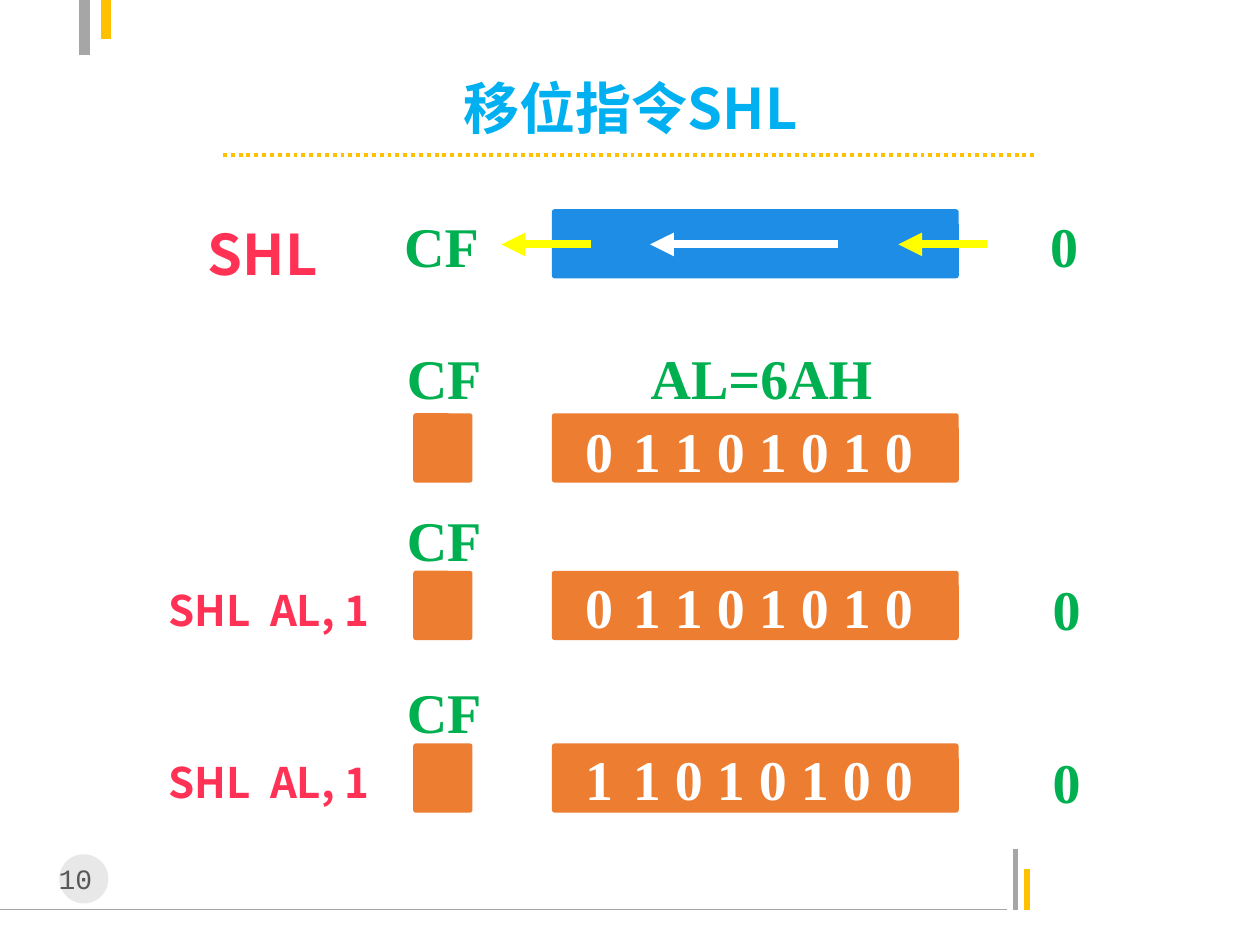
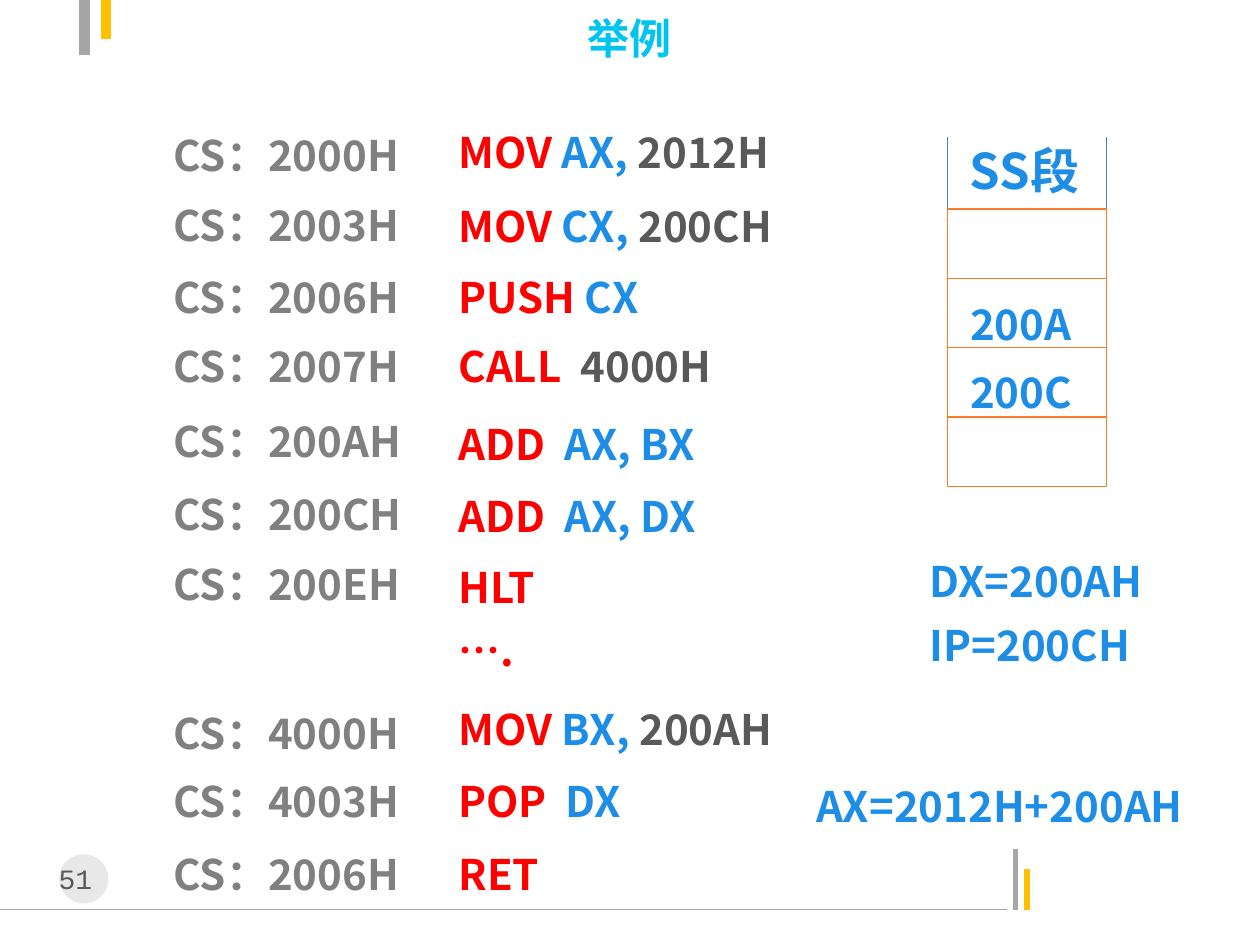
from lxml import etree
from pptx import Presentation
from pptx.dml.color import RGBColor
from pptx.enum.dml import MSO_LINE
from pptx.enum.shapes import MSO_CONNECTOR, MSO_SHAPE
from pptx.enum.text import MSO_ANCHOR, MSO_AUTO_SIZE, PP_ALIGN
from pptx.oxml.ns import qn
from pptx.util import Inches, Pt

STRAIGHT = MSO_CONNECTOR.STRAIGHT
RECT, ROUND, OVAL = MSO_SHAPE.RECTANGLE, MSO_SHAPE.ROUNDED_RECTANGLE, MSO_SHAPE.OVAL
LEFT, CENTER = PP_ALIGN.LEFT, PP_ALIGN.CENTER
TOP, MIDDLE = MSO_ANCHOR.TOP, MSO_ANCHOR.MIDDLE
GROW, FIXED = MSO_AUTO_SIZE.SHAPE_TO_FIT_TEXT, MSO_AUTO_SIZE.NONE
DOTS = MSO_LINE.ROUND_DOT

SANS, SERIF, MONO = "Noto Sans CJK SC", "Times New Roman", "Courier New"
WHITE = RGBColor(0xFF, 0xFF, 0xFF)
SILVER = RGBColor(0xBF, 0xBF, 0xBF)
ASH = RGBColor(0xA6, 0xA6, 0xA6)
GRAY = RGBColor(0x80, 0x80, 0x80)
DARK = RGBColor(0x59, 0x59, 0x59)
GOLD = RGBColor(0xFF, 0xC0, 0x00)
YELLOW = RGBColor(0xFF, 0xFF, 0x00)
ORANGE = RGBColor(0xED, 0x7D, 0x31)
EDGE = RGBColor(0xFD, 0x7A, 0x2A)
RED = RGBColor(0xFF, 0x00, 0x00)
ROSE = RGBColor(0xFF, 0x32, 0x55)
GREEN = RGBColor(0x00, 0xB0, 0x50)
BLUE = RGBColor(0x1D, 0x8D, 0xE5)
STEEL = RGBColor(0x4B, 0x7E, 0xBC)
SKY = RGBColor(0x00, 0xB0, 0xF0)
CYAN = RGBColor(0x00, 0xC4, 0xF0)


def write(frame, text, color=BLUE, size=24, font=SANS, bold=True, align=LEFT,
          space=None, before=None, after=None):
    """Fill a frame with a string or with (text, color) runs."""
    para = frame.paragraphs[0]
    para.alignment = align
    if space:
        para.line_spacing = space
    if before is not None:
        para.space_before, para.space_after = Pt(before), Pt(after)
    for part, tint in [(text, color)] if isinstance(text, str) else text:
        run = para.add_run()
        run.text = part
        run.font.name, run.font.size, run.font.bold = font, Pt(size), bold
        run.font.color.rgb = tint
        east = etree.SubElement(run.font._element, qn("a:ea"))
        east.set("typeface", font)


class Deck:
    """Holds the presentation, its style and the current slide."""

    def __init__(self):
        self.prs = Presentation()
        self.prs.slide_width, self.prs.slide_height = Inches(10), Inches(7.5)
        self.shapes = None

    def page(self, number):
        """Start a slide with the shared bands and page number."""
        slide = self.prs.slides.add_slide(self.prs.slide_layouts[5])
        self.shapes = slide.shapes
        self.line(0, 7.22, 7.99, 7.22, ASH, 0.75)
        self.line(8.06, 7.22, 8.06, 6.74, ASH, 3)
        self.line(8.15, 7.22, 8.15, 6.9, GOLD, 3)
        self.line(0.67, 0.44, 0.67, 0, ASH, 6)
        self.line(0.84, 0, 0.84, 0.31, GOLD, 6)
        self.shape(OVAL, 0.47, 6.78, 0.39, 0.39, SILVER, alpha=35)
        self.text(f"{number} ", 0.31, 6.79, 0.71, 0.37, color=DARK, size=16,
                  font=MONO, bold=False, align=CENTER)

    def title(self, text, left, top, width, **style):
        """Place and fill the title placeholder."""
        head = self.shapes.title
        head.left, head.top = Inches(left), Inches(top)
        head.width, head.height = Inches(width), Inches(0.5)
        frame = head.text_frame
        frame.word_wrap, frame.auto_size = False, FIXED
        frame.vertical_anchor = MIDDLE
        write(frame, text, align=CENTER, **style)

    def line(self, x1, y1, x2, y2, color, width, dash=None, arrow=False):
        """Draw a straight line or arrow."""
        link = self.shapes.add_connector(
            STRAIGHT, Inches(x1), Inches(y1), Inches(x2), Inches(y2))
        link.line.color.rgb, link.line.width = color, Pt(width)
        if dash:
            link.line.dash_style = dash
        if arrow:
            tip = etree.SubElement(link.line._get_or_add_ln(), qn("a:tailEnd"))
            tip.set("type", "triangle")
        etree.SubElement(link._element.spPr, qn("a:effectLst"))

    def shape(self, kind, left, top, width, height, fill, edge=None, alpha=None):
        """Draw a filled preset shape."""
        item = self.shapes.add_shape(
            kind, Inches(left), Inches(top), Inches(width), Inches(height))
        item.shadow.inherit = False
        item.fill.solid()
        item.fill.fore_color.rgb = fill
        if kind == ROUND:
            item.adjustments[0] = 0.044
        if edge:
            item.line.color.rgb, item.line.width = edge, Pt(0.75)
        else:
            item.line.fill.background()
        if alpha:
            tone = item._element.spPr.find(".//" + qn("a:srgbClr"))
            etree.SubElement(tone, qn("a:alpha")).set("val", str(alpha * 1000))

    def text(self, text, left, top, width, height, anchor=TOP, tight=False, **style):
        """Add a text box, either wrapped or tight."""
        box = self.shapes.add_textbox(
            Inches(left), Inches(top), Inches(width), Inches(height))
        frame = box.text_frame
        frame.word_wrap, frame.vertical_anchor = not tight, anchor
        frame.auto_size = FIXED if tight else GROW
        if tight:
            frame.margin_left, frame.margin_right = Inches(0.02), Inches(0.01)
            frame.margin_top = frame.margin_bottom = 0
        write(frame, text, **style)

    def mark(self, text, left, top, width=0.36, color=GREEN):
        """Add a large serif label."""
        self.text(text, left, top, width, 0.43, tight=True, color=color,
                  size=32, font=SERIF, align=CENTER)

    def order(self, text, left, top, height, size):
        """Add a rose instruction name."""
        self.text(text, left, top, 1.97, height, anchor=MIDDLE, color=ROSE,
                  size=size, align=CENTER, space=1.14)

    def code(self, text, left, top, width, color=BLUE):
        """Add a line of assembly code or a register value."""
        self.text(text, left, top, width, 0.57, color=color, space=1.29)

    def cell(self, text, top, width=1.18, size=24):
        """Add a label on the stack."""
        self.text(text, 7.6, top, width, 0.57, size=size, space=1.3,
                  before=2, after=0.6)


def shift(deck):
    """Build the shift slide."""
    deck.page(10)
    deck.title("移位指令SHL", 1.38, 0.6, 7.25, color=SKY, size=32)
    deck.line(1.77, 1.23, 8.23, 1.23, GOLD, 2.25, dash=DOTS)

    deck.shape(ROUND, 4.38, 1.66, 3.23, 0.55, BLUE)
    for start, end, color in [(6.65, 5.16, WHITE), (7.83, 7.13, YELLOW),
                              (4.69, 3.98, YELLOW)]:
        deck.line(start, 1.94, end, 1.94, color, 4.5, arrow=True)
    deck.mark("0", 8.26, 1.68)
    deck.mark("CF", 2.95, 1.68, 1.1)
    deck.order("SHL", 1.1, 1.62, 0.71, 32)

    deck.mark("AL=6AH", 5.49, 2.73, 1.1)
    rows = [(3.28, 2.73, 3.31, "0", "1 1 0 1 0 1 0"),
            (4.53, 4.01, 4.54, "0", "1 1 0 1 0 1 0"),
            (5.9, 5.38, 5.91, "1", "1 0 1 0 1 0 0")]
    for row, (top, flag, digit, high, rest) in enumerate(rows):
        deck.shape(ROUND, 4.38, top, 3.23, 0.55, ORANGE)
        deck.shape(ROUND, 3.28, top, 0.47, 0.55, ORANGE)
        deck.mark("CF", 2.97, flag, 1.1)
        deck.mark(high, 4.57, digit, color=WHITE)
        deck.mark(rest, 4.7, digit, 2.86, WHITE)
        if row:
            deck.order("SHL  AL, 1", 1.15, top, 0.56, 24)
            deck.mark("0", 8.28, top + 0.03)


def trace(deck):
    """Build the call and stack slide."""
    deck.page(51)
    deck.title("举例", 2.7, 0.05, 4.59, color=CYAN)

    steps = [("2000H", 0.86, 0.84, "MOV ", "AX, ", "2012H"),
             ("2003H", 1.42, 1.43, "MOV ", "CX, ", "200CH"),
             ("2006H", 1.99, 1.99, "PUSH ", "CX", ""),
             ("2007H", 2.54, 2.54, "CALL  ", "", "4000H"),
             ("200AH", 3.13, 3.16, "ADD  ", "AX, BX", ""),
             ("200CH", 3.71, 3.73, "ADD  ", "AX, DX", ""),
             ("200EH", 4.27, 4.29, "HLT", "", ""),
             ("", 0, 4.79, "….", "", ""),
             ("4000H", 5.45, 5.42, "MOV ", "BX, ", "200AH"),
             ("4003H", 5.99, 5.99, "POP  ", "DX", ""),
             ("2006H", 6.57, 6.57, "RET", "", "")]
    for place, left_top, top, verb, reg, value in steps:
        if place:
            deck.code("CS：" + place, 1.28, left_top, 2.72, GRAY)
        parts = [(verb, RED), (reg, BLUE), (value, DARK)]
        deck.code([part for part in parts if part[0]], 3.54, top, 3.61)

    for side in (7.52, 8.78):
        deck.line(side, 1.09, side, 3.84, STEEL, 0.75)
    for slot in range(4):
        deck.shape(RECT, 7.52, 1.66 + 0.55 * slot, 1.26, 0.55, WHITE, edge=EDGE)
    deck.cell("200C", 2.74)
    deck.cell("200A", 2.2)
    deck.cell("SS段", 0.93, 1.26, 28)
    deck.code("DX=200AH", 7.28, 4.24, 2.15)
    deck.code("IP=200CH", 7.28, 4.75, 2.15)
    deck.code("AX=2012H+200AH", 6.38, 6.03, 3.74)


def main():
    """Build both slides and save them."""
    deck = Deck()
    shift(deck)
    trace(deck)
    deck.prs.save("out.pptx")


if __name__ == "__main__":
    main()
